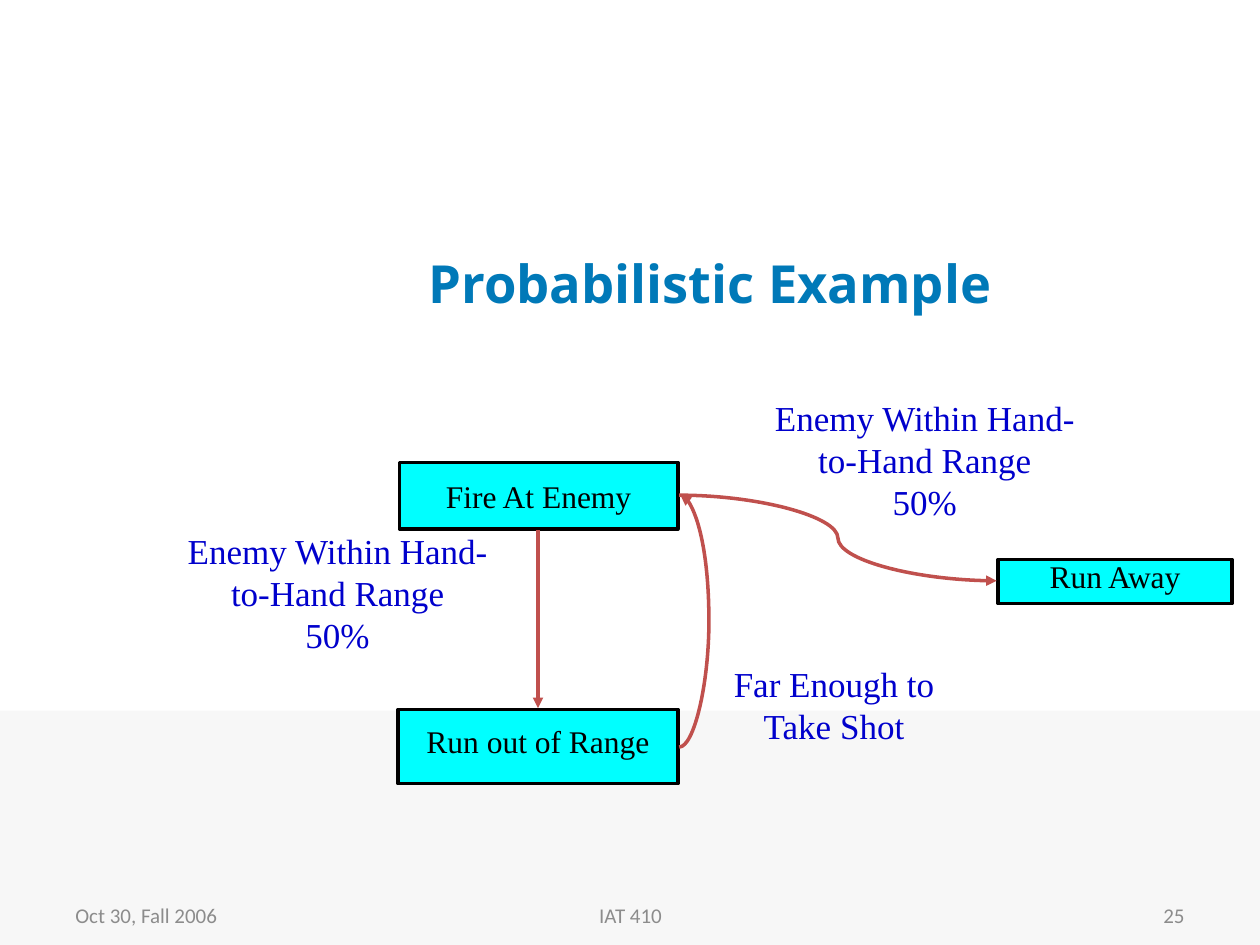
from lxml import etree
from pptx import Presentation
from pptx.dml.color import RGBColor
from pptx.enum.shapes import MSO_CONNECTOR as Link, MSO_SHAPE as Form
from pptx.enum.text import MSO_ANCHOR as Anchor, PP_ALIGN as Align
from pptx.oxml.ns import qn
from pptx.util import Inches, Pt

BLACK = RGBColor(0x00, 0x00, 0x00)
CYAN = RGBColor(0x00, 0xFF, 0xFF)
BLUE = RGBColor(0x00, 0x00, 0xCC)
TEAL = RGBColor(0x00, 0x79, 0xB8)
RED = RGBColor(0xC0, 0x50, 0x4D)
GREY = RGBColor(0x8C, 0x8C, 0x8C)
PALE = RGBColor(0xF7, 0xF7, 0xF7)
SERIF = "Times New Roman"

WIDE, HIGH = 10, 7.5
BAND = 5.64
TITLE = ("Probabilistic Example", (1.77, 1.62, 7.73, 1.25))
CLOSE = "Enemy Within Hand-\nto-Hand Range\n50%"

# text, (left, top, width, height), line spacing
STATES = [
    ("Fire At Enemy", (3.17, 3.67, 2.21, 0.53), 1),
    ("Run out of Range", (3.16, 5.63, 2.22, 0.59), 0.6),
    ("Run Away", (7.92, 4.44, 1.86, 0.35), 0.6),
]
LABELS = [
    (CLOSE, (1.18, 4.15, 3, 1.1)),
    ("Far Enough to\nTake Shot", (5.69, 5.21, 1.86, 0.77)),
    (CLOSE, (5.84, 3.1, 3, 1.1)),
]
# kind, start, end, bend as a share of the width
ARROWS = [
    (Link.STRAIGHT, (4.27, 4.21), (4.27, 5.62), None),
    (Link.CURVE, (5.39, 5.93), (5.4, 3.93), 24),
    (Link.CURVE, (5.39, 3.93), (7.91, 4.61), 0.5),
]
FOOT = [
    ("Oct 30, Fall 2006", 0.5, 2.33, Align.LEFT),
    ("IAT 410", 3.42, 3.17, Align.CENTER),
    ("25", 7.17, 2.33, Align.RIGHT),
]


def write(shape, text, size=20, font=SERIF, color=BLUE, bold=False,
          align=Align.CENTER, space=None, pad=None):
    frame = shape.text_frame
    frame.word_wrap = True
    frame.vertical_anchor = Anchor.MIDDLE
    if pad is not None:
        frame.margin_left = frame.margin_right = Inches(pad)
        frame.margin_top = frame.margin_bottom = Inches(0.04)
    frame.text = text
    for para in frame.paragraphs:
        para.alignment = align
        para.line_spacing = space
        for run in para.runs:
            run.font.size = Pt(size)
            run.font.name = font
            run.font.bold = bold
            run.font.color.rgb = color


def inches(box):
    return [Inches(n) for n in box]


def add_box(shapes, box, fill, edge=None):
    rect = shapes.add_shape(Form.RECTANGLE, *inches(box))
    rect.shadow.inherit = False
    rect.fill.solid()
    rect.fill.fore_color.rgb = fill
    if edge is None:
        rect.line.fill.background()
    else:
        rect.line.color.rgb = edge
        rect.line.width = Pt(2)
    return rect


def add_arrow(shapes, kind, start, end, bend):
    arrow = shapes.add_connector(kind, *inches(start + end))
    arrow.line.color.rgb = RED
    arrow.line.width = Pt(2)
    props = arrow._element.spPr
    etree.SubElement(props.find(qn("a:ln")), qn("a:tailEnd"), type="triangle")
    etree.SubElement(props, qn("a:effectLst"))
    if bend is not None:
        guides = props.find(qn("a:prstGeom")).get_or_add_avLst()
        etree.SubElement(guides, qn("a:gd"), name="adj1",
                         fmla=f"val {int(bend * 100000)}")


def main():
    deck = Presentation()
    deck.slide_width, deck.slide_height = Inches(WIDE), Inches(HIGH)
    slide = deck.slides.add_slide(deck.slide_layouts[5])
    shapes = slide.shapes

    add_box(shapes, (0, BAND, WIDE, HIGH - BAND), PALE)

    text, box = TITLE
    head = shapes.title
    head.left, head.top, head.width, head.height = inches(box)
    write(head, text, size=30, font="Open Sans", color=TEAL, bold=True)

    for text, left, width, align in FOOT:
        note = shapes.add_textbox(*inches((left, 7.06, width, 0.4)))
        write(note, text, size=12, font="Calibri", color=GREY, align=align)
    for text, box, space in STATES:
        state = add_box(shapes, box, CYAN, BLACK)
        write(state, text, size=18, color=BLACK, space=space, pad=0.02)
    for text, box in LABELS:
        write(shapes.add_textbox(*inches(box)), text)
    for arrow in ARROWS:
        add_arrow(shapes, *arrow)

    deck.save("out.pptx")


if __name__ == "__main__":
    main()
